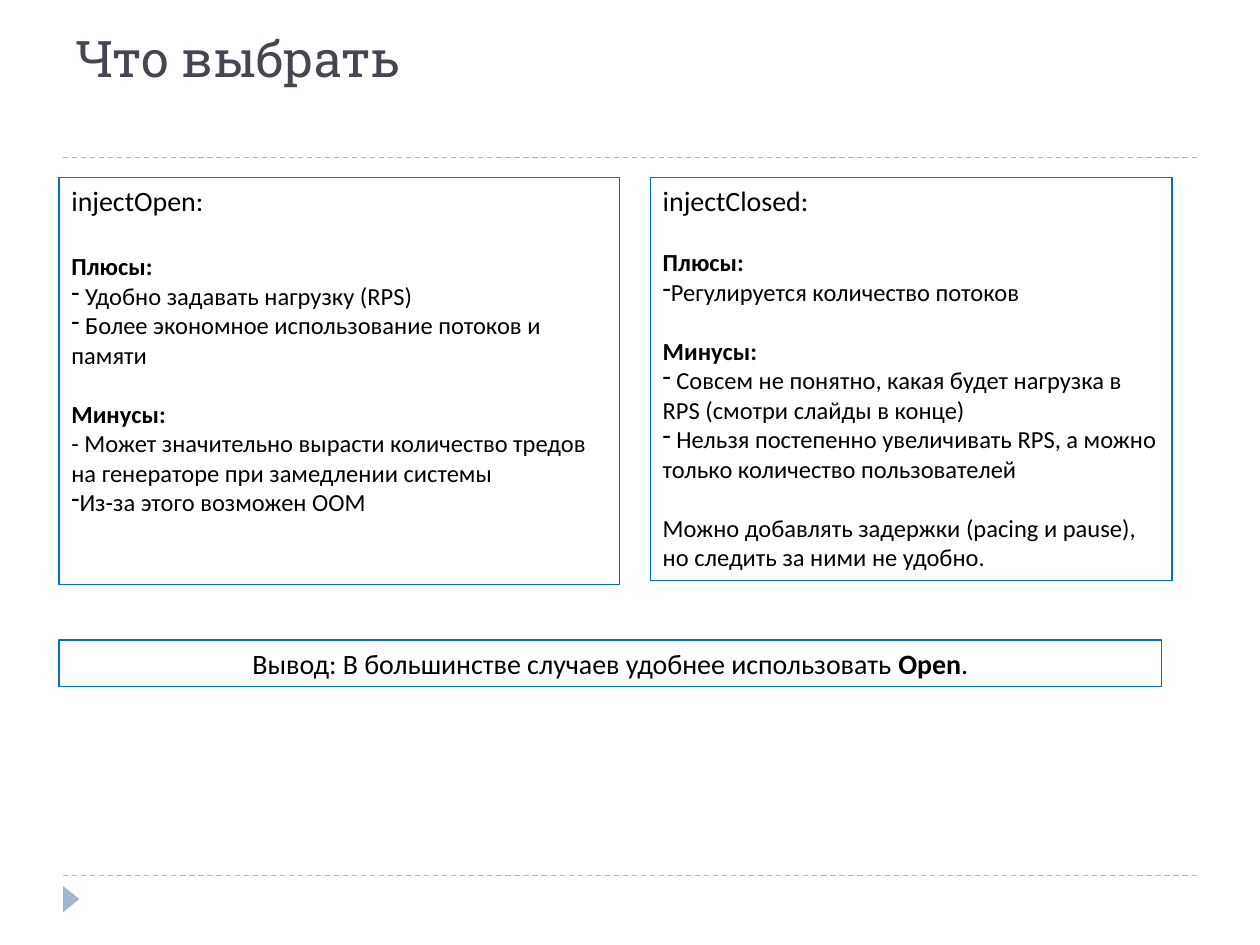
from lxml import etree
from pptx import Presentation
from pptx import util as u
from pptx.dml.color import RGBColor
from pptx.enum import dml, shapes, text
from pptx.oxml.ns import qn

THEME = {
    "ink": "000000", "title": "464653", "edge": "0070C0", "rule": "9FB8CD",
    "body": "Calibri", "head": "Roboto Slab",
    "big": 28.8, "mid": 16, "small": 14, "line": 0.75,
}

TITLE = "Что выбрать"
MID = {"size": THEME["mid"]}
BOLD = {"bold": True}
DASH = {"bullet": "-"}
GAP = 17.1   # one empty line of small text
WIDE = 19.5  # one empty line of middle text

# Each card: left, width, height in cm, then lines of (text, format)
CARDS = [
    (1.19, 11.3, 8.2, [
        ("injectOpen:", MID),
        ("Плюсы:", {**BOLD, "before": WIDE}),
        (" Удобно задавать нагрузку (RPS)", DASH),
        (" Более экономное использование потоков и памяти", DASH),
        ("Минусы:", {**BOLD, "before": GAP}),
        ("- Может значительно вырасти количество тредов на генераторе "
         "при замедлении системы", {}),
        ("Из-за этого возможен OOM", DASH),
    ]),
    (13.11, 10.52, 8.13, [
        ("injectClosed:", MID),
        ("Плюсы:", {**BOLD, "before": GAP}),
        ("Регулируется количество потоков", DASH),
        ("Минусы:", {**BOLD, "before": GAP}),
        (" Совсем не понятно, какая будет нагрузка в RPS "
         "(смотри слайды в конце)", DASH),
        (" Нельзя постепенно увеличивать RPS, а можно только количество "
         "пользователей", DASH),
        ("Можно добавлять задержки (pacing и pause), но следить за ними "
         "не удобно.", {"before": GAP}),
    ]),
]
VERDICT = [
    ("Вывод: В большинстве случаев удобнее использовать ", {}),
    ("Open", BOLD),
    (".", {}),
]
RULES = [3.18, 17.65]
LEFT, RIGHT, TOP = 1.27, 24.13, 3.58


def color(key):
    return RGBColor.from_string(THEME[key])


def write(para, words, size=THEME["small"], bold=False, font="body",
          ink="ink", before=0, bullet=None):
    """Add a run to a paragraph, with its spacing and bullet if given."""
    if before:
        para.space_before = u.Pt(before)
    if bullet:
        props = para._p.get_or_add_pPr()
        props.set("marL", "0")
        props.set("indent", "0")
        etree.SubElement(props, qn("a:buChar")).set("char", bullet)
    run = para.add_run()
    run.text = words
    run.font.name = THEME[font]
    run.font.size = u.Pt(size)
    run.font.bold = bold
    run.font.color.rgb = color(ink)


def frame(left, top, wide, high):
    """Draw an outlined box and return its text frame."""
    box = slide.shapes.add_shape(shapes.MSO_SHAPE.RECTANGLE, u.Cm(left),
                                 u.Cm(top), u.Cm(wide), u.Cm(high))
    box.shadow.inherit = False
    box.fill.background()
    box.line.color.rgb = color("edge")
    box.line.width = u.Pt(THEME["line"])
    body = box.text_frame
    body.word_wrap = True
    body.vertical_anchor = text.MSO_ANCHOR.TOP
    return body


deck = Presentation()
deck.slide_width, deck.slide_height = u.Cm(25.4), u.Cm(19.05)
slide = deck.slides.add_slide(deck.slide_layouts[6])

for y in RULES:
    rule = slide.shapes.add_connector(shapes.MSO_CONNECTOR.STRAIGHT, u.Cm(LEFT),
                                      u.Cm(y), u.Cm(RIGHT), u.Cm(y))
    rule.line.color.rgb = color("rule")
    rule.line.width = u.Pt(THEME["line"])
    rule.line.dash_style = dml.MSO_LINE.DASH
    etree.SubElement(rule._element.spPr, qn("a:effectLst"))

mark = slide.shapes.add_shape(shapes.MSO_SHAPE.ISOSCELES_TRIANGLE, u.Cm(1.17),
                              u.Cm(17.96), u.Cm(0.53), u.Cm(0.33))
mark.rotation = 90
mark.shadow.inherit = False
mark.fill.solid()
mark.fill.fore_color.rgb = color("rule")
mark.line.fill.background()

head = slide.shapes.add_textbox(u.Cm(LEFT), u.Cm(0.43), u.Cm(RIGHT - LEFT),
                                u.Cm(2.75)).text_frame
head.word_wrap = True
write(head.paragraphs[0], TITLE, size=THEME["big"], font="head", ink="title")

for left, wide, high, lines in CARDS:
    body = frame(left, TOP, wide, high)
    for i, (words, style) in enumerate(lines):
        para = body.add_paragraph() if i else body.paragraphs[0]
        para.alignment = text.PP_ALIGN.LEFT
        write(para, words, **style)

para = frame(1.19, 12.9, 22.23, 0.94).paragraphs[0]
para.alignment = text.PP_ALIGN.CENTER
for words, style in VERDICT:
    write(para, words, **MID, **style)

deck.save("out.pptx")
